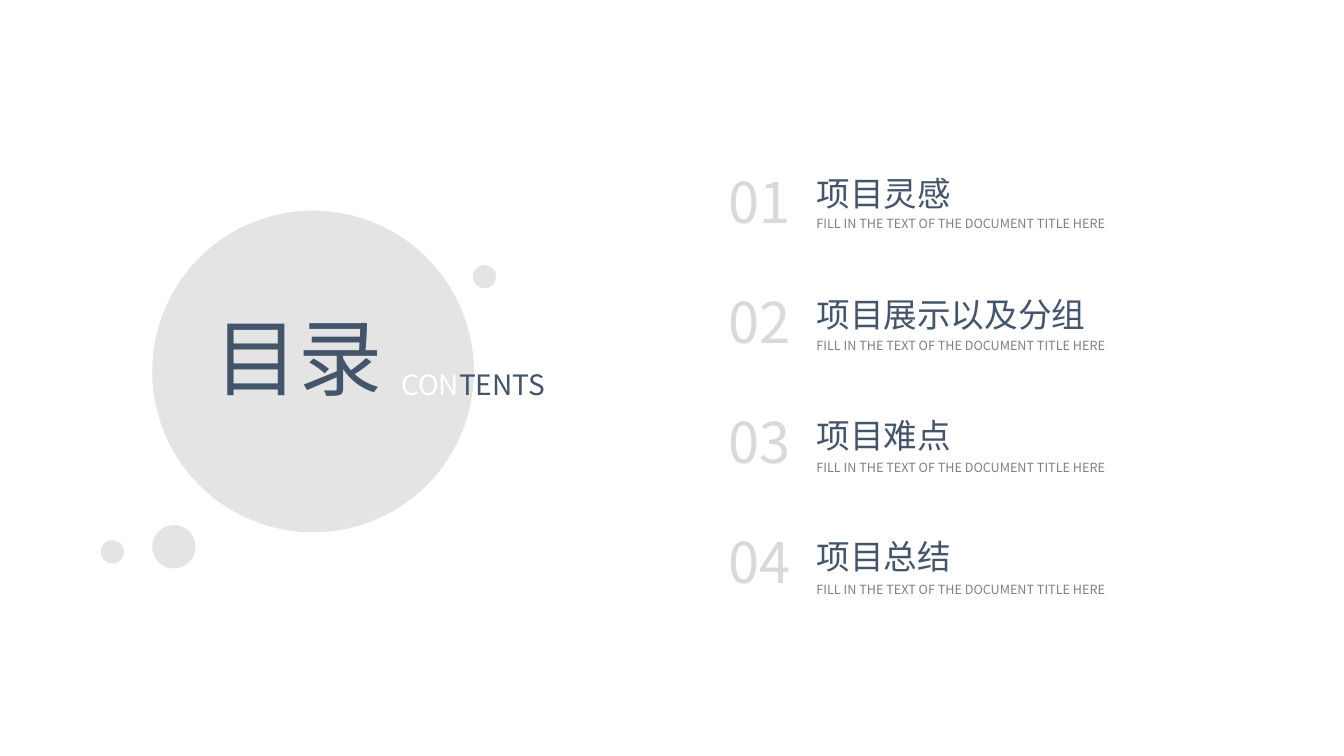
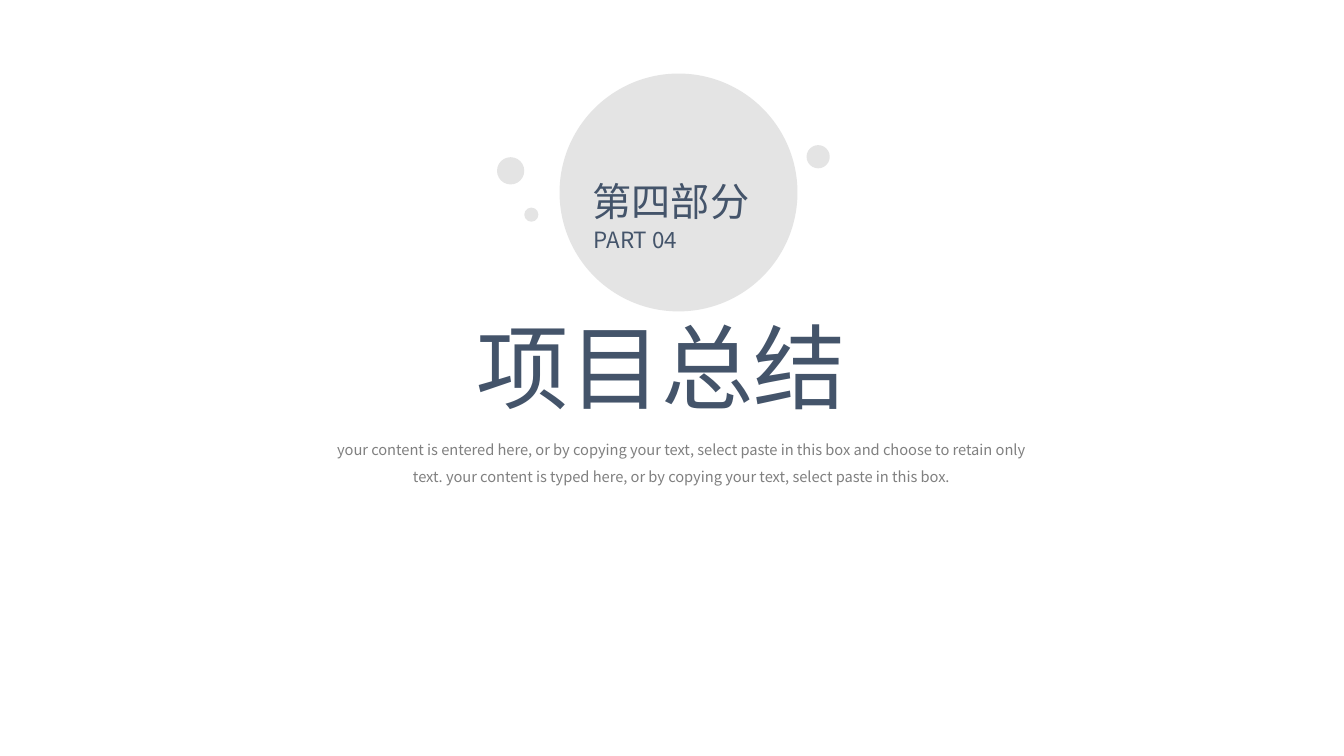
from pptx import Presentation
from pptx.dml.color import RGBColor
from pptx.enum.shapes import MSO_SHAPE
from pptx.enum.text import MSO_AUTO_SIZE, PP_ALIGN
from pptx.oxml.ns import qn
from pptx.util import Inches, Pt
from lxml import etree

DOT = MSO_SHAPE.FLOWCHART_CONNECTOR
GROW = MSO_AUTO_SIZE.SHAPE_TO_FIT_TEXT
LEFT, MID, JUST = PP_ALIGN.LEFT, PP_ALIGN.CENTER, PP_ALIGN.JUSTIFY

FONT = "Noto Sans CJK SC"
NAVY, PALE, GREY, WHITE = "44546A", "D9D9D9", "808080", "FFFFFF"
ALPHA = 70

# Circles: left, top, diameter
TOC_DOTS = [(1.51, 2.09, 3.19), (1.51, 5.21, 0.43),
            (1, 5.36, 0.23), (4.69, 2.63, 0.23)]
PART_DOTS = [(5.55, 0.73, 2.36), (4.93, 1.56, 0.27),
             (5.2, 2.06, 0.14), (8, 1.44, 0.23)]

# Topics: heading, width of its box
TOPICS = [("项目灵感", 1.55), ("项目展示以及分组", 2.89),
          ("项目难点", 1.55), ("项目总结", 1.55)]
HINT = "FILL IN THE TEXT OF THE DOCUMENT TITLE HERE"
NOTE = ("your content is entered here, or by copying your text, select paste "
        "in this box and choose to retain only text. your content is typed "
        "here, or by copying your text, select paste in this box.")

# First top and step down of each column of the topic list
NUM_TOP, NUM_STEP = 1.61, 1.19
HEAD_TOP, HEAD_STEP = 1.67, 1.2
HINT_TOP, HINT_STEP = 2.09, 1.21


def rgb(code):
    return RGBColor.from_string(code)


def add_dots(slide, dots):
    for left, top, size in dots:
        dot = slide.shapes.add_shape(DOT, Inches(left), Inches(top),
                                     Inches(size), Inches(size))
        dot.shadow.inherit = False
        dot.line.fill.background()
        dot.fill.solid()
        dot.fill.fore_color.rgb = rgb(PALE)
        tint = dot.fill._xPr.find(".//" + qn("a:srgbClr"))
        etree.SubElement(tint, qn("a:alpha"), val=str(ALPHA * 1000))


def add_text(slide, text, at, size, color=NAVY, align=LEFT, wrap=False,
             space=None):
    """Add a text box; text is a string or a list of (string, colour) runs."""
    box = slide.shapes.add_textbox(*[Inches(n) for n in at])
    frame = box.text_frame
    frame.word_wrap = wrap
    frame.auto_size = GROW
    para = frame.paragraphs[0]
    para.alignment = align
    if space:
        para.line_spacing = space
    runs = [(text, color)] if isinstance(text, str) else text
    for words, shade in runs:
        run = para.add_run()
        run.text = words
        run.font.size = Pt(size)
        run.font.color.rgb = rgb(shade)
        run.font.name = FONT
        latin = run.font._element.find(qn("a:latin"))
        east = etree.Element(qn("a:ea"), typeface=FONT)
        latin.addnext(east)


def add_slide(deck, dots):
    slide = deck.slides.add_slide(deck.slide_layouts[6])
    add_dots(slide, dots)
    return slide


def build_toc(deck):
    slide = add_slide(deck, TOC_DOTS)
    add_text(slide, "目录", (2.03, 2.98, 1.97, 1.11), 60, align=JUST, wrap=True)
    add_text(slide, [("CON", WHITE), ("TENTS", NAVY)],
             (3.88, 3.6, 1.97, 0.44), 20, align=JUST, wrap=True)
    for i, (head, width) in enumerate(TOPICS):
        add_text(slide, f"{i + 1:02}",
                 (7.13, NUM_TOP + i * NUM_STEP, 0.86, 0.77), 40, color=PALE)
        add_text(slide, head,
                 (8, HEAD_TOP + i * HEAD_STEP, width, 0.5), 24)
        add_text(slide, HINT,
                 (8, HINT_TOP + i * HINT_STEP, 3.2, 0.25), 9, color=GREY)


def build_part(deck):
    slide = add_slide(deck, PART_DOTS)
    add_text(slide, "第四部分", (5.78, 1.71, 1.97, 0.57), 28,
             align=JUST, wrap=True)
    add_text(slide, "PART 04", (5.79, 2.19, 1.94, 0.37), 16,
             align=JUST, wrap=True)
    add_text(slide, TOPICS[3][0], (4.63, 3.03, 3.87, 1.21), 66)
    add_text(slide, NOTE, (3.22, 4.24, 7.08, 0.6), 10.5, color=GREY,
             align=MID, wrap=True, space=1.5)


def main():
    deck = Presentation()
    deck.slide_width, deck.slide_height = Inches(13.33), Inches(7.5)
    build_toc(deck)
    build_part(deck)
    deck.save("out.pptx")


if __name__ == "__main__":
    main()
